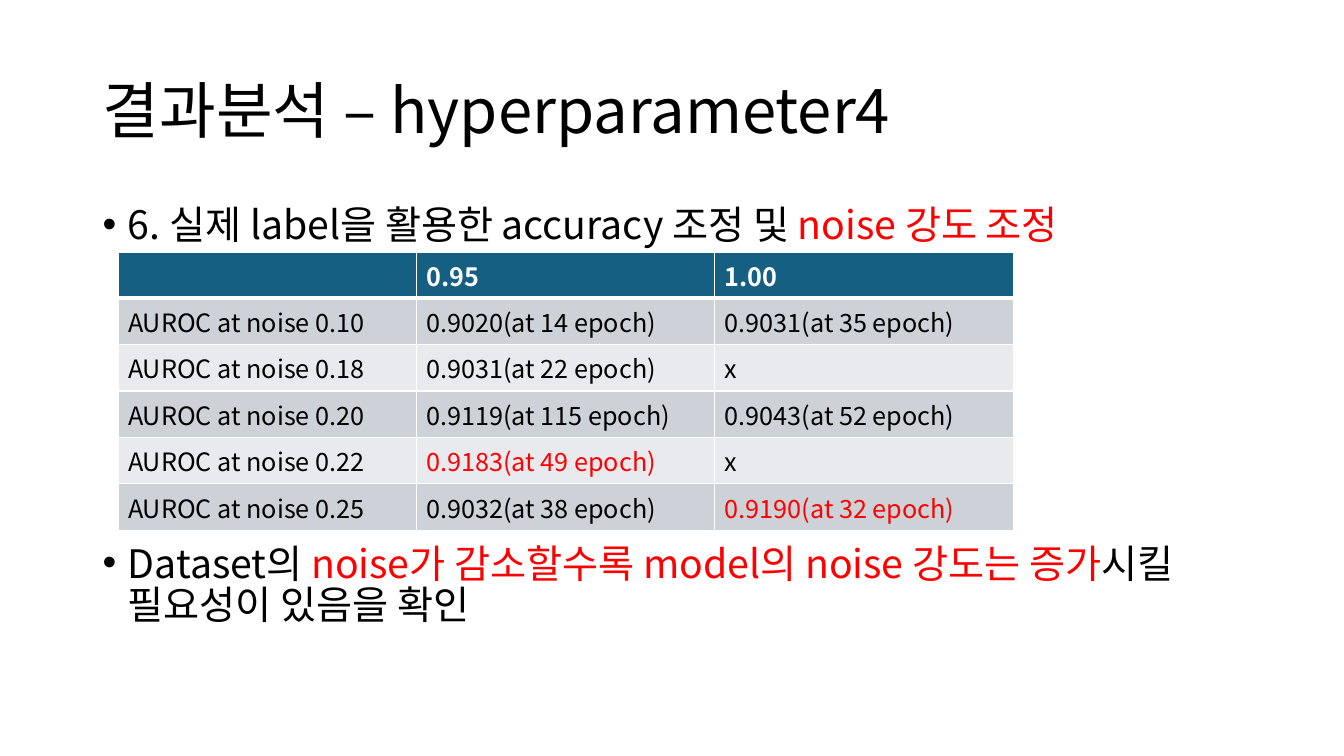
import pptx
import pptx.dml.color
import pptx.enum.text
import pptx.oxml
import pptx.oxml.ns
import pptx.util

Inches, Pt = pptx.util.Inches, pptx.util.Pt
RGB = pptx.dml.color.RGBColor
ANCHOR = pptx.enum.text.MSO_ANCHOR

BLACK, WHITE, RED = RGB(0, 0, 0), RGB(255, 255, 255), RGB(255, 0, 0)
HEADER, BAND_DARK, BAND_LIGHT = RGB(0x15, 0x60, 0x82), RGB(0xCC, 0xD2, 0xD8), RGB(0xE8, 0xEA, 0xED)
FONT = "Noto Sans CJK KR"

# Content
TITLE = "결과분석 – hyperparameter4"
BULLETS = [
    [("6. 실제 label을 활용한 accuracy 조정 및 ", BLACK), ("noise 강도 조정", RED)],
    [("Dataset의 ", BLACK), ("noise가 감소할수록 model의 noise 강도는 증가", RED),
     ("시킬 필요성이 있음을 확인", BLACK)],
]
RESULTS = [
    ("", "0.95", "1.00"),
    ("AUROC at noise 0.10", "0.9020(at 14 epoch)", "0.9031(at 35 epoch)"),
    ("AUROC at noise 0.18", "0.9031(at 22 epoch)", "x"),
    ("AUROC at noise 0.20", "0.9119(at 115 epoch)", "0.9043(at 52 epoch)"),
    ("AUROC at noise 0.22", "0.9183(at 49 epoch)", "x"),
    ("AUROC at noise 0.25", "0.9032(at 38 epoch)", "0.9190(at 32 epoch)"),
]
BEST = {"0.9183(at 49 epoch)", "0.9190(at 32 epoch)"}

# Layout, in inches
SLIDE_W, SLIDE_H = 13.33, 7.5
MARGIN, CONTENT_W = 0.92, 11.5
TABLE_LEFT, TABLE_TOP, COLUMN_W, ROW_H = 1.17, 2.5, 2.96, 0.46
TABLE_W, TABLE_H = COLUMN_W * len(RESULTS[0]), ROW_H * len(RESULTS)
BULLET_GAP = 212  # points left free for the table


def write(paragraph, text, size, color, bold=False):
    run = paragraph.add_run()
    run.text = text
    for name, value in {"size": Pt(size), "bold": bold, "name": FONT}.items():
        setattr(run.font, name, value)
    run.font.color.rgb = color
    east_asian = pptx.oxml.parse_xml(
        f'<a:ea {pptx.oxml.ns.nsdecls("a")} typeface="{FONT}"/>')
    run.font._element.find(pptx.oxml.ns.qn("a:latin")).addnext(east_asian)


def add_bullet(paragraph):
    properties = paragraph._p.get_or_add_pPr()
    properties.set("marL", str(Inches(0.25)))
    properties.set("indent", str(-Inches(0.25)))
    for tag in ('buFont typeface="Arial"', 'buChar char="•"'):
        properties.append(pptx.oxml.parse_xml(f'<a:{tag} {pptx.oxml.ns.nsdecls("a")}/>'))


def add_borders(cell, bottom):
    properties = cell._tc.get_or_add_tcPr()
    widths = {"lnL": 1, "lnR": 1, "lnT": 1, "lnB": bottom}
    for position, (side, width) in enumerate(widths.items()):
        properties.insert(position, pptx.oxml.parse_xml(
            f'<a:{side} {pptx.oxml.ns.nsdecls("a")} w="{Pt(width)}">'
            f'<a:solidFill><a:srgbClr val="{WHITE}"/></a:solidFill></a:{side}>'))


deck = pptx.Presentation()
deck.slide_width, deck.slide_height = Inches(SLIDE_W), Inches(SLIDE_H)
slide = deck.slides.add_slide(deck.slide_layouts[5])

# Title
title = slide.shapes.title
title_box = {"left": MARGIN, "top": 0.4, "width": CONTENT_W, "height": 1.45}
for name, value in title_box.items():
    setattr(title, name, Inches(value))
title.text_frame.vertical_anchor = ANCHOR.MIDDLE
heading = title.text_frame.paragraphs[0]
heading.alignment = pptx.enum.text.PP_ALIGN.LEFT
heading.line_spacing = 0.9
write(heading, TITLE, 44, BLACK)

# Bullets above and below the table
body = slide.shapes.add_textbox(*map(Inches, (MARGIN, 2, CONTENT_W, 4.76))).text_frame
body.word_wrap = True
for number, parts in enumerate(BULLETS):
    bullet = body.add_paragraph() if number else body.paragraphs[0]
    bullet.line_spacing = Pt(29.5)
    bullet.space_before = Pt(BULLET_GAP if number else 10)
    add_bullet(bullet)
    for text, color in parts:
        write(bullet, text, 28, color)

# Results table
table = slide.shapes.add_table(
    len(RESULTS), len(RESULTS[0]),
    *map(Inches, (TABLE_LEFT, TABLE_TOP, TABLE_W, TABLE_H))).table
for r, row in enumerate(RESULTS):
    for c, text in enumerate(row):
        cell = table.cell(r, c)
        cell.fill.solid()
        cell.fill.fore_color.rgb = HEADER if r == 0 else BAND_DARK if r % 2 else BAND_LIGHT
        add_borders(cell, bottom=1 if r else 3)
        if text:
            color = WHITE if r == 0 else RED if text in BEST else BLACK
            write(cell.text_frame.paragraphs[0], text, 18, color, bold=r == 0)

deck.save("out.pptx")
